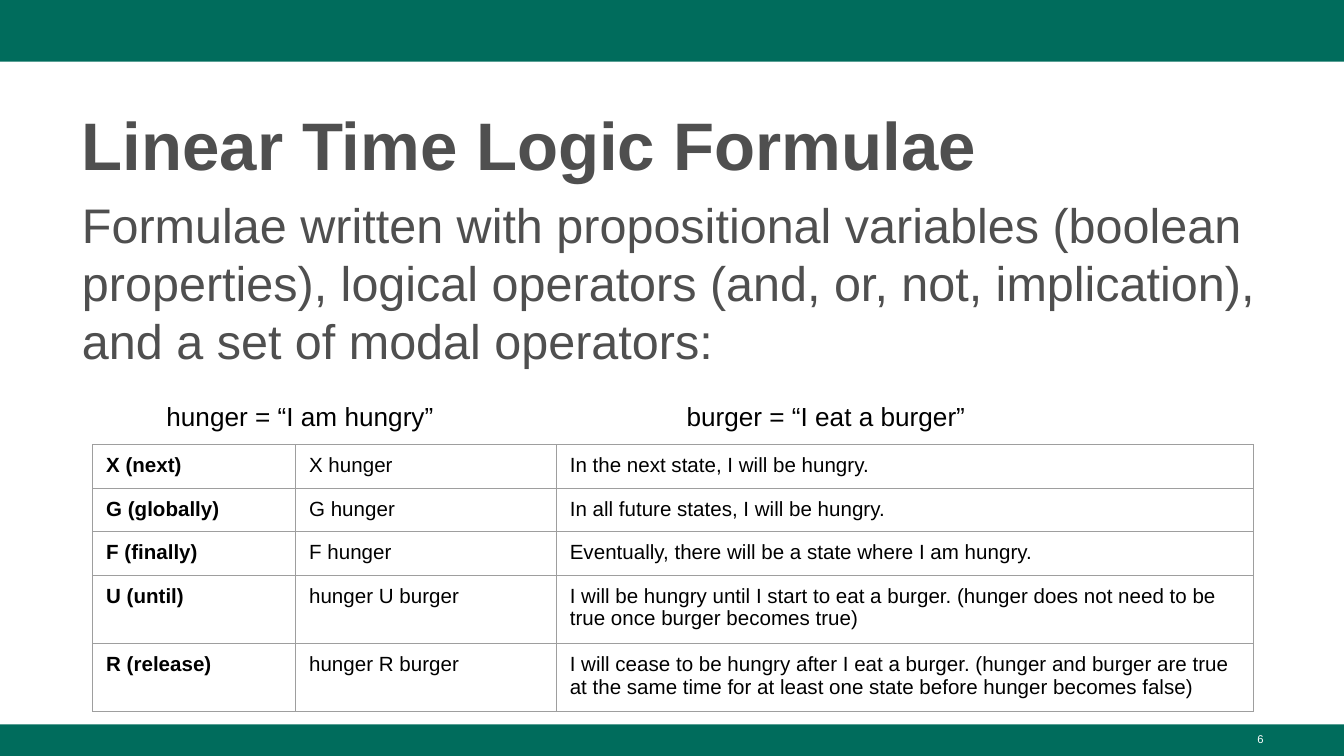
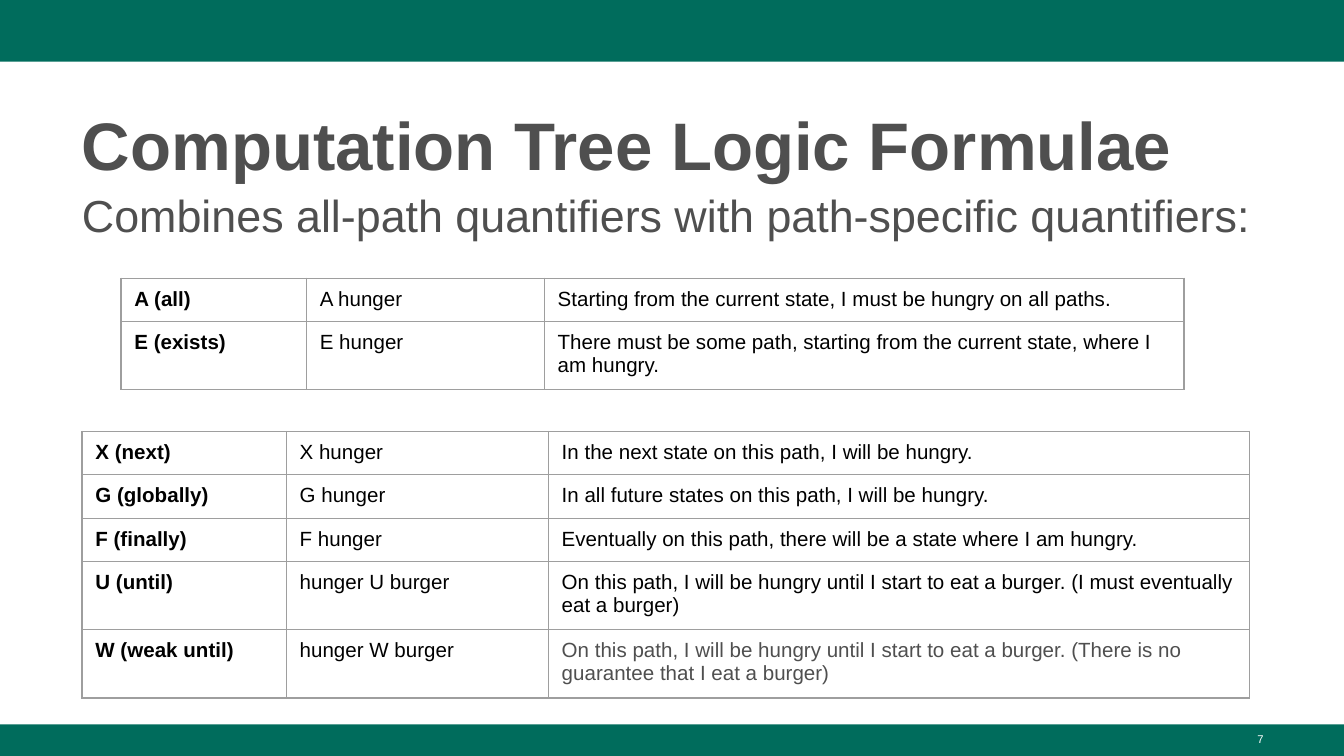
from lxml import etree
from pptx import Presentation
from pptx.dml.color import RGBColor
from pptx.enum.shapes import MSO_SHAPE
from pptx.enum.text import MSO_ANCHOR, MSO_AUTO_SIZE, PP_ALIGN
from pptx.oxml.ns import qn
from pptx.util import Inches, Pt

RECTANGLE = MSO_SHAPE.RECTANGLE
TOP, BOTTOM = MSO_ANCHOR.TOP, MSO_ANCHOR.BOTTOM
NO_AUTOFIT = MSO_AUTO_SIZE.NONE
LEFT, RIGHT = PP_ALIGN.LEFT, PP_ALIGN.RIGHT

FONT = "Arial"
COLORS = {
    "band": "006C5C",
    "heading": "4F4F4F",
    "text": "000000",
    "number": "FFFFFF",
    "border": "9E9E9E",
}
SLIDE_WIDTH = 10
SLIDE_HEIGHT = SLIDE_WIDTH * 9 / 16
FOOTER_TOP = 5.39
BANDS = [
    (0, 0, SLIDE_WIDTH, 0.46),
    (0, FOOTER_TOP, SLIDE_WIDTH, SLIDE_HEIGHT - FOOTER_TOP),
]
TITLE_BOX = (0.51, 0.67, 8.99, 0.73)
NUMBER_BOX = (7.17, 5.4, 2.33, 0.23)
ROW_HEIGHT = 0.31

LINEAR_OPERATORS = [
    ("X (next)", "X hunger", "In the next state, I will be hungry."),
    ("G (globally)", "G hunger", "In all future states, I will be hungry."),
    ("F (finally)", "F hunger", "Eventually, there will be a state where I am hungry."),
    ("U (until)", "hunger U burger",
     "I will be hungry until I start to eat a burger. "
     "(hunger does not need to be true once burger becomes true)"),
    ("R (release)", "hunger R burger",
     "I will cease to be hungry after I eat a burger. (hunger and burger are true "
     "at the same time for at least one state before hunger becomes false)"),
]
PATH_OPERATORS = [
    ("X (next)", "X hunger", "In the next state on this path, I will be hungry."),
    ("G (globally)", "G hunger", "In all future states on this path, I will be hungry."),
    ("F (finally)", "F hunger",
     "Eventually on this path, there will be a state where I am hungry."),
    ("U (until)", "hunger U burger",
     "On this path, I will be hungry until I start to eat a burger. "
     "(I must eventually eat a burger)"),
    ("W (weak until)", "hunger W burger",
     "On this path, I will be hungry until I start to eat a burger. "
     "(There is no guarantee that I eat a burger)"),
]
QUANTIFIERS = [
    ("A (all)", "A hunger",
     "Starting from the current state, I must be hungry on all paths."),
    ("E (exists)", "E hunger",
     "There must be some path, starting from the current state, where I am hungry."),
]


def rgb(color):
    """Return the named colour."""
    return RGBColor.from_string(COLORS[color])


def add_text(paragraph, text, size, color, bold=False):
    """Add one formatted run to a paragraph."""
    run = paragraph.add_run()
    run.text = text
    run.font.name = FONT
    run.font.size = Pt(size)
    run.font.bold = bold
    run.font.color.rgb = rgb(color)


def set_margins(holder, across, down):
    """Set the inner margins of a text frame or a cell."""
    holder.margin_left = holder.margin_right = Inches(across)
    holder.margin_top = holder.margin_bottom = Inches(down)


def add_bands(slide, master):
    """Draw the green bands and place them on the master."""
    for depth, box in enumerate(BANDS, start=2):
        band = slide.shapes.add_shape(RECTANGLE, *map(Inches, box))
        band.shadow.inherit = False
        band.fill.solid()
        band.fill.fore_color.rgb = rgb("band")
        band.line.fill.background()
        master.shapes._spTree.insert(depth, band._element)


def fill_placeholder(holder, box, text, size, anchor, spacing, bold=False):
    """Move a placeholder to its box and write its plain paragraph."""
    holder.left, holder.top, holder.width, holder.height = map(Inches, box)
    frame = holder.text_frame
    frame.word_wrap = True
    frame.auto_size = NO_AUTOFIT
    frame.vertical_anchor = anchor
    set_margins(frame, 0.1, 0.05)
    paragraph = frame.paragraphs[0]
    properties = paragraph._p.get_or_add_pPr()
    properties.set("marL", "0")
    properties.set("indent", "0")
    etree.SubElement(properties, qn("a:buNone"))
    paragraph.alignment = LEFT
    paragraph.line_spacing = spacing
    paragraph.space_before = Pt(0)
    add_text(paragraph, text, size, "heading", bold)


def add_label(slide, box, text, size, color, inset, align=LEFT, tab=None):
    """Add a one-line text box, with a tab stop if one is given."""
    frame = slide.shapes.add_textbox(*map(Inches, box)).text_frame
    frame.word_wrap = True
    frame.vertical_anchor = TOP
    set_margins(frame, 0.1, inset)
    paragraph = frame.paragraphs[0]
    if tab:
        stops = etree.SubElement(paragraph._p.get_or_add_pPr(), qn("a:tabLst"))
        etree.SubElement(stops, qn("a:tab"), pos=str(Inches(tab)), algn="l")
    paragraph.alignment = align
    add_text(paragraph, text, size, color)


def add_borders(cell):
    """Outline all four sides of a cell."""
    properties = cell._tc.get_or_add_tcPr()
    for side in ("a:lnL", "a:lnR", "a:lnT", "a:lnB"):
        line = etree.SubElement(properties, qn(side), w=str(Pt(0.75)))
        fill = etree.SubElement(line, qn("a:solidFill"))
        etree.SubElement(fill, qn("a:srgbClr"), val=COLORS["border"])


def add_operator_table(slide, left, top, widths, operators, last_color="text"):
    """Add a table of operators, examples and meanings."""
    table = slide.shapes.add_table(
        len(operators), len(widths), Inches(left), Inches(top),
        Inches(sum(widths)), Inches(ROW_HEIGHT * len(operators))).table
    table.first_row = table.horz_banding = False
    for column, width in zip(table.columns, widths):
        column.width = Inches(width)
    for row, operator in zip(table.rows, operators):
        row.height = Inches(ROW_HEIGHT)
        for index, (cell, text) in enumerate(zip(row.cells, operator)):
            add_borders(cell)
            cell.fill.background()
            set_margins(cell, 0.1, 0.07)
            paragraph = cell.text_frame.paragraphs[0]
            paragraph.line_spacing = 1.0
            paragraph.space_before = paragraph.space_after = Pt(0)
            is_last = operator is operators[-1] and index == len(widths) - 1
            add_text(paragraph, text, 11,
                     last_color if is_last else "text", bold=index == 0)


def add_formulae_slide(prs, title, intro, intro_size, intro_top, number):
    """Add a slide with its title, introduction and number."""
    slide = prs.slides.add_slide(prs.slide_layouts[1])
    fill_placeholder(slide.shapes.title, TITLE_BOX, title, 36, BOTTOM, 1.08, True)
    slide.shapes.title.text_frame.margin_bottom = Inches(0.03)
    left, _, width, _ = TITLE_BOX
    intro_box = (left, intro_top, width, 5.21 - intro_top)
    fill_placeholder(slide.placeholders[1], intro_box, intro, intro_size, TOP, 1.0)
    add_label(slide, NUMBER_BOX, str(number), 6, "number", 0.05, RIGHT)
    return slide


def main():
    """Build both slides and save them."""
    prs = Presentation()
    prs.slide_width, prs.slide_height = Inches(SLIDE_WIDTH), Inches(SLIDE_HEIGHT)

    linear = add_formulae_slide(
        prs, "Linear Time Logic Formulae",
        "Formulae written with propositional variables (boolean properties), "
        "logical operators (and, or, not, implication), and a set of modal operators:",
        26, 1.4, 6)
    add_bands(linear, prs.slide_master)
    add_operator_table(linear, 0.69, 3.31, (1.51, 1.94, 5.19), LINEAR_OPERATORS)
    add_label(linear, (1.14, 2.88, 7.74, 0.43),
              "hunger = “I am hungry”\tburger = “I eat a burger”",
              14, "text", 0.1, tab=3.87)

    tree = add_formulae_slide(
        prs, "Computation Tree Logic Formulae",
        "Combines all-path quantifiers with path-specific quantifiers:",
        24, 1.35, 7)
    add_operator_table(tree, 0.61, 3.21, (1.52, 1.95, 5.22), PATH_OPERATORS, "heading")
    add_operator_table(tree, 0.9, 2.07, (1.38, 1.77, 4.76), QUANTIFIERS)

    prs.save("out.pptx")


if __name__ == "__main__":
    main()
